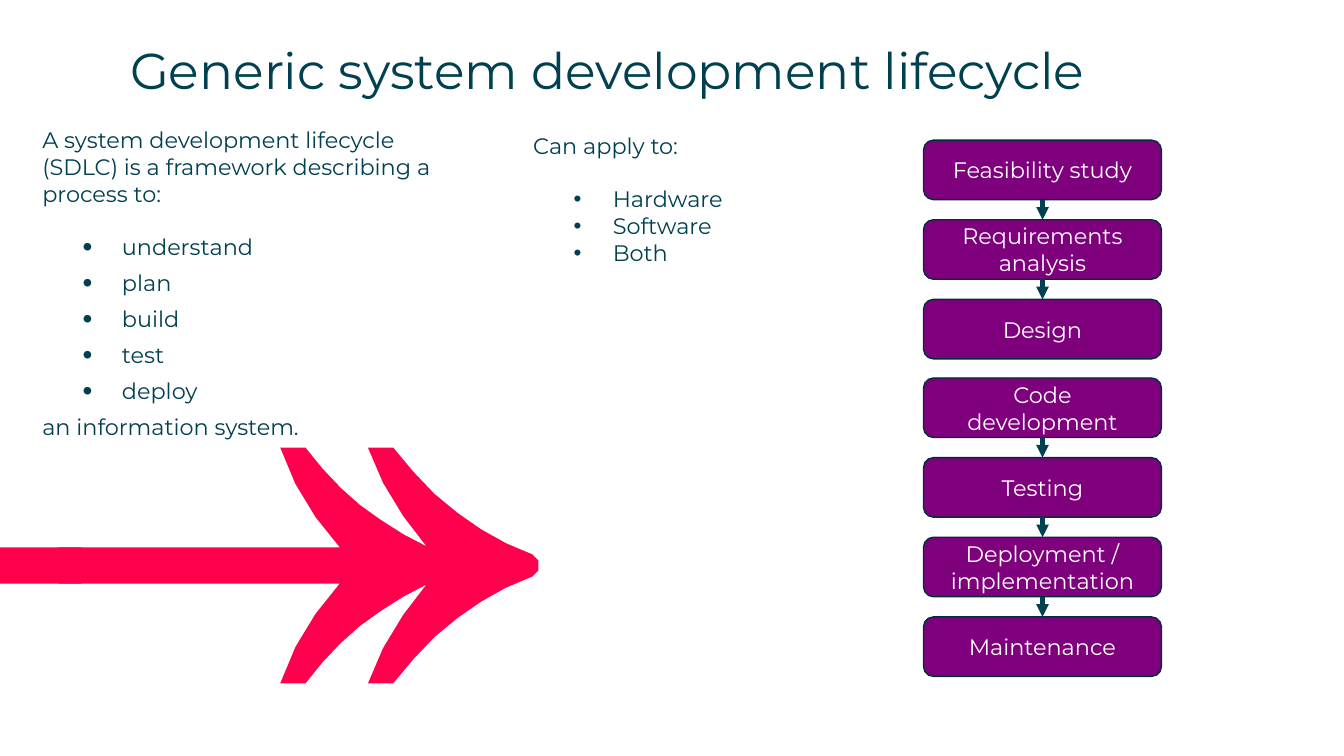
"""Build the slide on the generic system development lifecycle."""
import dataclasses

import lxml.etree
import pptx
import pptx.dml.color
import pptx.enum.shapes
import pptx.enum.text
import pptx.oxml.ns
import pptx.util

PX = 9144
CURVE_STEPS = 3
ARROW_AXIS = 561
ARROW_START = (58, 543)
ARROW_UPPER_HALF = [
    [(337, 543)],
    [(311, 514), (290, 482), (278, 444)],
    [(303, 444)],
    [(320, 466), (337, 485), (357, 501)],
    [(377, 517), (399, 531), (423, 542)],
    [(398, 513), (377, 481), (365, 444)],
    [(390, 444)],
    [(410, 470), (430, 491), (454, 509)],
    [(476, 526), (501, 540), (528, 550)],
    [(534, 556)],
]
STAGES = [
    "Feasibility study", "Requirements analysis", "Design", "Code development",
    "Testing", "Deployment / implementation", "Maintenance",
]
UNLINKED_STAGE = "Design"
STAGE_TOP = 139
STAGE_PITCH = 78.8
ALIGN = pptx.enum.text.PP_ALIGN
ANCHOR = pptx.enum.text.MSO_ANCHOR
SHAPE = pptx.enum.shapes.MSO_SHAPE


@dataclasses.dataclass(frozen=True)
class Theme:
    """Hold the colours, font and type sizes."""
    ink: str = "004050"
    accent: str = "FF004C"
    stage: str = "7F007D"
    outline: str = "002F3B"
    white: str = "FFFFFF"
    font: str = "Montserrat"
    title: float = 36
    body: float = 16


THEME = Theme()


def px(*lengths):
    """Turn pixel lengths into EMU."""
    return [pptx.util.Emu(length * PX) for length in lengths]


def rgb(colour):
    """Turn a hex string into a colour."""
    return pptx.dml.color.RGBColor.from_string(colour)


def add_element(parent, tag, **attributes):
    """Append a drawing element to a parent."""
    return lxml.etree.SubElement(parent, pptx.oxml.ns.qn(tag), attributes)


def write(frame, text, size=THEME.body, colour=THEME.ink, align=ALIGN.LEFT,
          before=0, after=0, bullet_percent=None):
    """Add one formatted paragraph to a text frame."""
    para = frame.paragraphs[0] if not frame.text else frame.add_paragraph()
    para.alignment = align
    para.space_before = pptx.util.Pt(before)
    para.space_after = pptx.util.Pt(after)
    if bullet_percent:
        para.level = 1
        properties = para._p.get_or_add_pPr()
        margin, hanging = px(79, -39)
        properties.set("marL", str(margin))
        properties.set("indent", str(hanging))
        add_element(properties, "a:buSzPct", val=str(bullet_percent * 1000))
        add_element(properties, "a:buFont", typeface="Arial")
        add_element(properties, "a:buChar", char="•")
    span = para.add_run()
    span.text = text
    span.font.name = THEME.font
    span.font.size = pptx.util.Pt(size)
    span.font.color.rgb = rgb(colour)


def set_margins(frame, across, down):
    """Set the insets of a text frame."""
    frame.margin_left, frame.margin_right = px(across, across)
    frame.margin_top, frame.margin_bottom = px(down, down)


def add_title(page, text):
    """Place and fill the title placeholder."""
    title = page.shapes.title
    title.left, title.top, title.width, title.height = px(129, 39, 1251, 75)
    frame = title.text_frame
    set_margins(frame, 0, 0)
    frame.auto_size = pptx.enum.text.MSO_AUTO_SIZE.NONE
    frame.vertical_anchor = ANCHOR.TOP
    write(frame, text, size=THEME.title)


def add_list(page, place, intro, items, outro=None, margins=(0, 0), after=0,
             bullet_percent=100):
    """Add a text box with an intro, bullets and an optional closing line."""
    frame = page.shapes.add_textbox(*px(*place)).text_frame
    frame.word_wrap = True
    set_margins(frame, *margins)
    write(frame, intro)
    for number, item in enumerate(items):
        write(frame, item, before=0 if number else 19, after=after,
              bullet_percent=bullet_percent)
    if outro:
        write(frame, outro)


def paint(shape, fill, outline=None):
    """Set the fill and outline of a shape and drop its shadow."""
    shape.shadow.inherit = False
    shape.fill.solid()
    shape.fill.fore_color.rgb = rgb(fill)
    if outline:
        shape.line.color.rgb = rgb(outline)
        shape.line.width = pptx.util.Pt(1)
    else:
        shape.line.fill.background()


def curve_points(start, first, second, end):
    """Sample a cubic curve after its start point."""
    for step in range(1, CURVE_STEPS + 1):
        t = step / CURVE_STEPS
        weights = ((1 - t) ** 3, 3 * t * (1 - t) ** 2, 3 * t * t * (1 - t), t ** 3)
        yield tuple(
            sum(weight * value for weight, value in zip(weights, values))
            for values in zip(start, first, second, end))


def add_big_arrow(page):
    """Draw the double-barbed arrow and its tail."""
    upper = [ARROW_START]
    for segment in ARROW_UPPER_HALF:
        upper.extend(curve_points(upper[-1], *segment) if len(segment) == 3 else segment)
    outline = upper + [(x, 2 * ARROW_AXIS - y) for x, y in reversed(upper)]
    points = [px(*map(round, point)) for point in outline]
    builder = page.shapes.build_freeform(*points[0])
    builder.add_line_segments(points[1:], close=True)
    paint(builder.convert_to_shape(), THEME.accent)
    tail = page.shapes.add_shape(SHAPE.RECTANGLE, *px(0, 543, 81, 36))
    paint(tail, THEME.accent)


def add_stage(page, text, top):
    """Add one lifecycle stage."""
    box = page.shapes.add_shape(SHAPE.ROUNDED_RECTANGLE, *px(916, top, 236, 59))
    paint(box, THEME.stage, THEME.outline)
    box.text_frame.word_wrap = True
    box.text_frame.vertical_anchor = ANCHOR.MIDDLE
    write(box.text_frame, text, colour=THEME.white, align=ALIGN.CENTER)
    return box


def link(page, upper, lower):
    """Join two stages with an arrow."""
    line = page.shapes.add_connector(
        pptx.enum.shapes.MSO_CONNECTOR.STRAIGHT, 0, 0, 0, 0)
    line.begin_connect(upper, 2)
    line.end_connect(lower, 0)
    line.line.color.rgb = rgb(THEME.ink)
    line.line.width = pptx.util.Pt(3)
    add_element(line.line._get_or_add_ln(), "a:tailEnd", type="triangle")
    add_element(line._element.spPr, "a:effectLst")


def main():
    """Compose and save the slide."""
    deck = pptx.Presentation()
    deck.slide_width, deck.slide_height = px(1333, 750)
    page = deck.slides.add_slide(deck.slide_layouts[5])
    add_big_arrow(page)
    add_list(
        page, (42, 125, 426, 287),
        "A system development lifecycle (SDLC) is a framework describing a process to:",
        ["understand", "plan", "build", "test", "deploy"],
        outro="an information system.", after=6.5, bullet_percent=125)
    add_title(page, "Generic system development lifecycle")
    boxes = [add_stage(page, stage, round(STAGE_TOP + number * STAGE_PITCH))
             for number, stage in enumerate(STAGES)]
    for stage, upper, lower in zip(STAGES, boxes, boxes[1:]):
        if stage != UNLINKED_STAGE:
            link(page, upper, lower)
    add_list(page, (519, 126, 360, 145), "Can apply to:",
             ["Hardware", "Software", "Both"], margins=(10, 5))
    deck.save("out.pptx")


if __name__ == "__main__":
    main()
